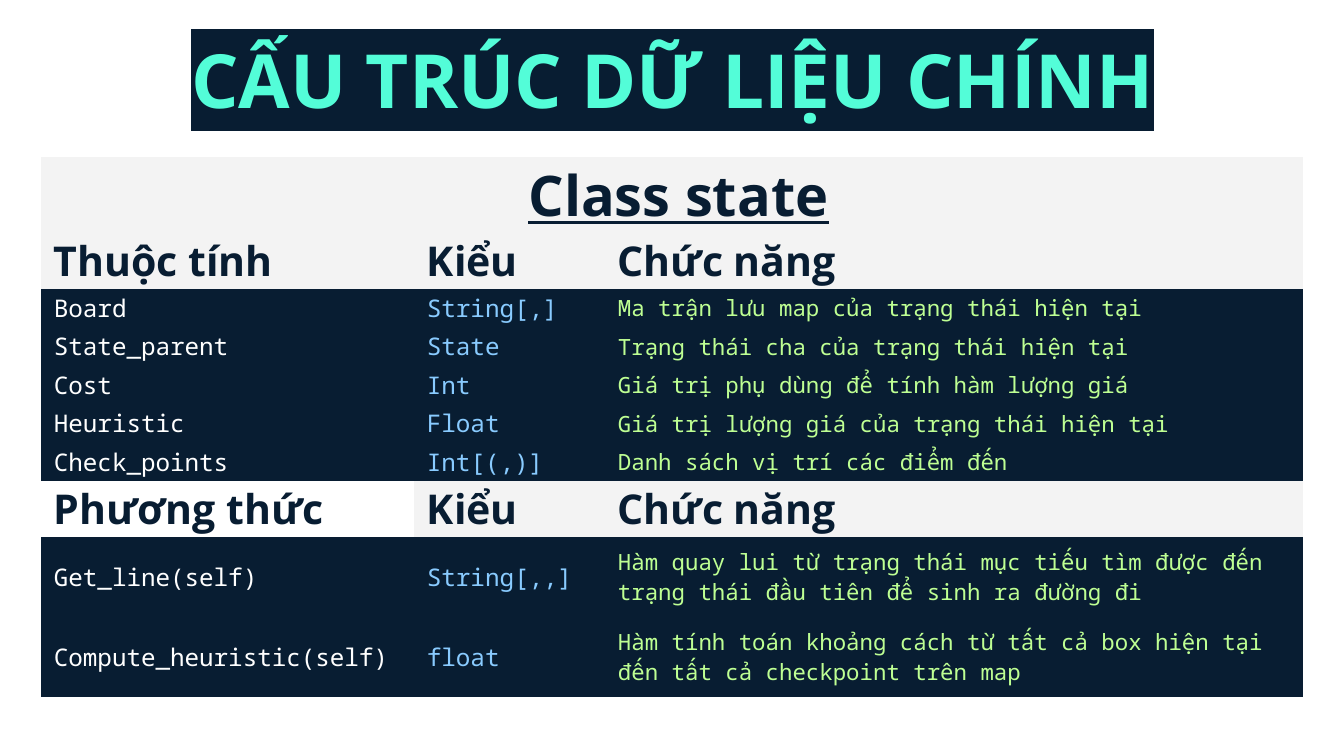
from lxml.etree import SubElement
from pptx import Presentation
from pptx.dml.color import RGBColor
from pptx.enum.text import MSO_ANCHOR, PP_ALIGN
from pptx.oxml.ns import qn
from pptx.util import Pt

EMU_PER_PX = 914400 / 134.4
NAVY = RGBColor(0x08, 0x1D, 0x32)
MINT = RGBColor(0x53, 0xFD, 0xD8)
BLUE = RGBColor(0x89, 0xCB, 0xFF)
GREEN = RGBColor(0xBE, 0xFF, 0x93)
GREY = RGBColor(0xF3, 0xF3, 0xF3)
WHITE = RGBColor(0xFF, 0xFF, 0xFF)
HEADING_FONT = "Open Sans"
CODE_FONT = "Noto Sans Mono"
NO_STYLE_NO_GRID = "{2D5ABB26-0587-4C30-8999-92F81FD0307C}"

TITLE_BOX = (106, 20, 1133, 85)
TABLE_BOX = (41, 157, 1262, 540)
COLUMN_WIDTHS = (373, 191, 698)
CAPTION_HEIGHT, HEADER_HEIGHT, METHOD_HEIGHT = 76, 56, 80
ATTRIBUTE_HEIGHTS = (38, 39, 38, 39, 38)
CODE_STYLES = ((13, WHITE), (13, BLUE), (12, GREEN))

CAPTION = "Class state"
ATTRIBUTE_HEADER = ("Thuộc tính", "Kiểu", "Chức năng")
ATTRIBUTES = (
    ("Board", "String[,]", "Ma trận lưu map của trạng thái hiện tại"),
    ("State_parent", "State", "Trạng thái cha của trạng thái hiện tại"),
    ("Cost", "Int", "Giá trị phụ dùng để tính hàm lượng giá"),
    ("Heuristic", "Float", "Giá trị lượng giá của trạng thái hiện tại"),
    ("Check_points", "Int[(,)]", "Danh sách vị trí các điểm đến"),
)
METHOD_HEADER = ("Phương thức", "Kiểu", "Chức năng")
METHODS = (
    ("Get_line(self)", "String[,,]",
     "Hàm quay lui từ trạng thái mục tiếu tìm được đến trạng thái đầu tiên để sinh ra đường đi"),
    ("Compute_heuristic(self)", "float",
     "Hàm tính toán khoảng cách từ tất cả box hiện tại đến tất cả checkpoint trên map"),
)


def px(length):
    return round(length * EMU_PER_PX)


def add_run(paragraph, text, size, color, font, bold=False, underline=False, highlight=None):
    run = paragraph.add_run()
    run.text = text
    run.font.size = Pt(size)
    run.font.name = font
    run.font.bold = bold
    run.font.underline = underline
    run.font.color.rgb = color
    if highlight is not None:
        properties = run.font._element
        mark = SubElement(properties, qn("a:highlight"))
        SubElement(mark, qn("a:srgbClr")).set("val", str(highlight))
        properties.find(qn("a:solidFill")).addnext(mark)


def add_title(slide, box):
    shape = slide.shapes.add_textbox(*map(px, box))
    frame = shape.text_frame
    frame.word_wrap = True
    frame.vertical_anchor = MSO_ANCHOR.TOP
    frame.margin_left = frame.margin_right = frame.margin_bottom = px(13)
    frame.margin_top = px(14)
    paragraph = frame.paragraphs[0]
    paragraph.alignment = PP_ALIGN.CENTER
    add_run(paragraph, "CẤU TRÚC DỮ LIỆU CHÍNH", 40, MINT, HEADING_FONT,
            bold=True, highlight=NAVY)


def prepare_cell(cell, fill):
    """Sets fill, margins and anchor, and returns the cell's paragraph."""
    cell.fill.solid()
    cell.fill.fore_color.rgb = fill
    cell.margin_left = px(13)
    cell.margin_right = cell.margin_top = cell.margin_bottom = 0
    cell.vertical_anchor = MSO_ANCHOR.MIDDLE
    return cell.text_frame.paragraphs[0]


def fill_header(row, texts, fills):
    for cell, text, fill in zip(row.cells, texts, fills):
        add_run(prepare_cell(cell, fill), text, 22, NAVY, HEADING_FONT, bold=True)


def fill_members(rows, members):
    for row, texts in zip(rows, members):
        for cell, text, (size, color) in zip(row.cells, texts, CODE_STYLES):
            add_run(prepare_cell(cell, NAVY), text, size, color, CODE_FONT, highlight=NAVY)


def add_class_table(slide, box):
    heights = [CAPTION_HEIGHT, HEADER_HEIGHT, *ATTRIBUTE_HEIGHTS,
               HEADER_HEIGHT, *[METHOD_HEIGHT] * len(METHODS)]
    frame = slide.shapes.add_table(len(heights), len(COLUMN_WIDTHS), *map(px, box))
    table = frame.table
    table.first_row = table.horz_banding = False
    table._tbl.tblPr.find(qn("a:tableStyleId")).text = NO_STYLE_NO_GRID
    for column, width in zip(table.columns, COLUMN_WIDTHS):
        column.width = px(width)
    rows = list(table.rows)
    for row, height in zip(rows, heights):
        row.height = px(height)

    caption = table.cell(0, 0)
    caption.merge(table.cell(0, 2))
    paragraph = prepare_cell(caption, GREY)
    paragraph.alignment = PP_ALIGN.CENTER
    add_run(paragraph, CAPTION, 30, NAVY, HEADING_FONT, bold=True, underline=True)

    method_start = 2 + len(ATTRIBUTES)
    fill_header(rows[1], ATTRIBUTE_HEADER, (GREY, GREY, GREY))
    fill_members(rows[2:method_start], ATTRIBUTES)
    fill_header(rows[method_start], METHOD_HEADER, (WHITE, GREY, GREY))
    fill_members(rows[method_start + 1:], METHODS)


def main():
    presentation = Presentation()
    presentation.slide_width = px(1344)
    presentation.slide_height = px(756)
    slide = presentation.slides.add_slide(presentation.slide_layouts[6])
    slide.background.fill.solid()
    slide.background.fill.fore_color.rgb = WHITE
    add_title(slide, TITLE_BOX)
    add_class_table(slide, TABLE_BOX)
    presentation.save("out.pptx")


if __name__ == "__main__":
    main()
